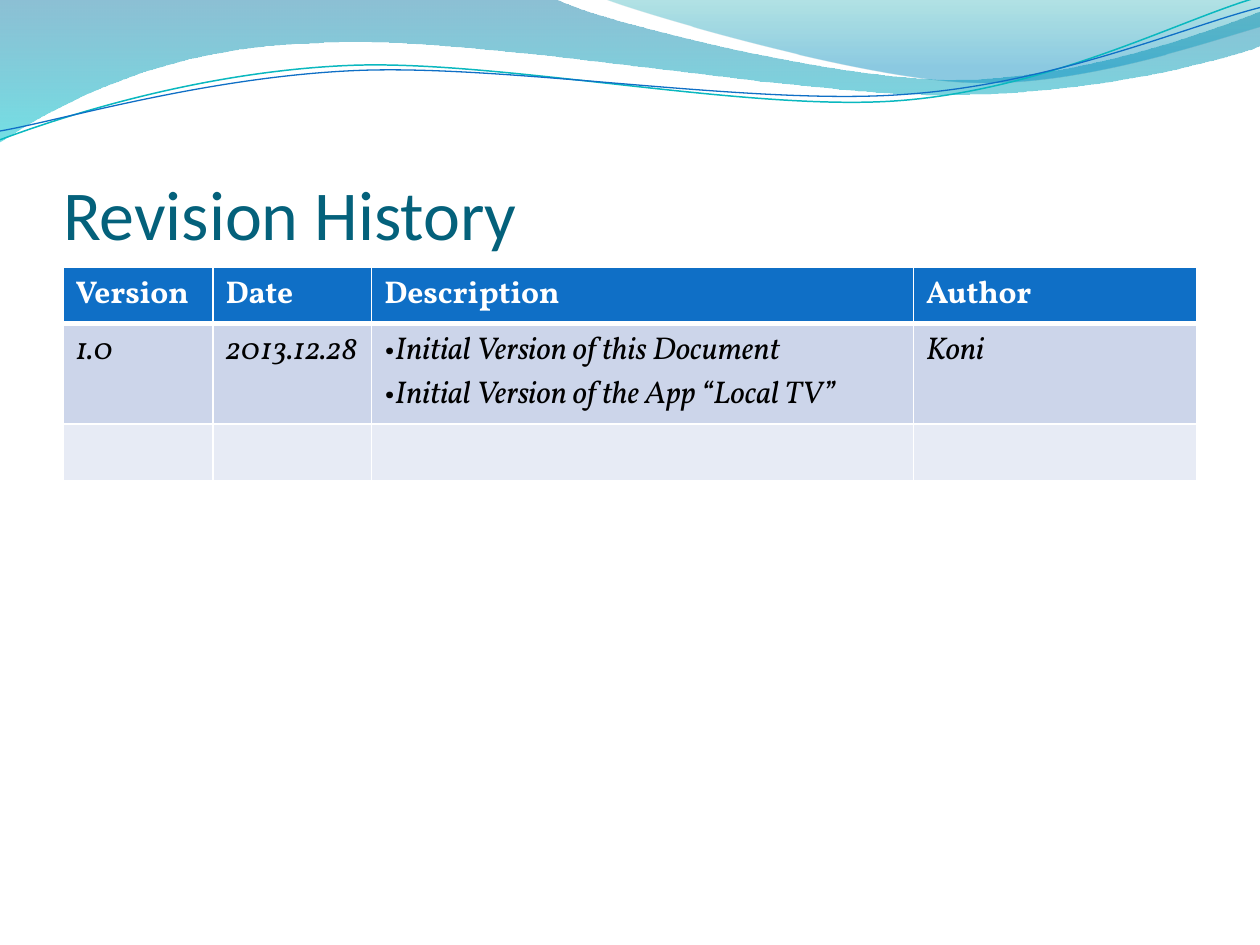
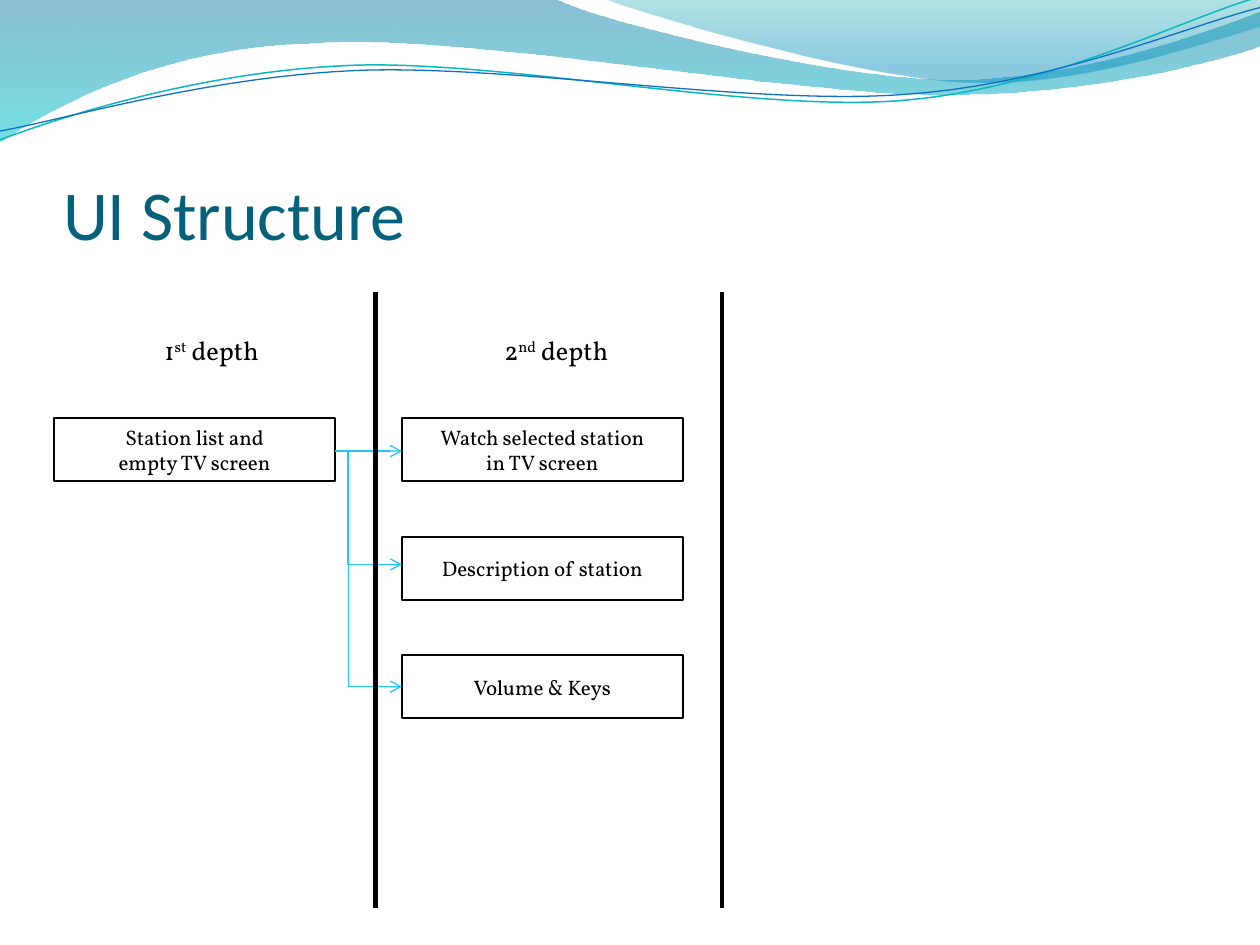
from dataclasses import dataclass

from pptx import Presentation
from pptx.dml.color import RGBColor
from pptx.enum.shapes import MSO_CONNECTOR, MSO_SHAPE
from pptx.enum.text import MSO_ANCHOR, MSO_AUTO_SIZE, PP_ALIGN
from pptx.oxml.ns import qn
from pptx.oxml.xmlchemy import OxmlElement
from pptx.util import Inches, Pt

LEFT, CENTER = PP_ALIGN.LEFT, PP_ALIGN.CENTER
BOTTOM, MIDDLE = MSO_ANCHOR.BOTTOM, MSO_ANCHOR.MIDDLE
STRAIGHT, ELBOW = MSO_CONNECTOR.STRAIGHT, MSO_CONNECTOR.ELBOW
RECTANGLE = MSO_SHAPE.RECTANGLE
NO_AUTOSIZE, FIT_SHAPE = MSO_AUTO_SIZE.NONE, MSO_AUTO_SIZE.SHAPE_TO_FIT_TEXT


@dataclass(frozen=True)
class Theme:
    """Colours, fonts and type sizes shared by the slides."""

    title_font: str = "Calibri"
    body_font: str = "Vollkorn"
    title_size: int = 40
    table_size: int = 18
    label_size: int = 15
    box_size: int = 12
    title: str = "04617B"
    text: str = "000000"
    white: str = "FFFFFF"
    header: str = "0F6FC6"
    bands: tuple = ("CCD5EA", "E7EBF5")
    arrow: str = "20C9F8"
    teal_line: str = "0AB8BF"


THEME = Theme()

WIDE_WAVE = [
    (0, 0), (4.4, -0.01),
    ((4.76, 0.17), (6.64, 0.63), (7.58, 0.63)),
    ((8.53, 0.63), (9.58, 0.26), (10, 0.09)),
    (10.01, 0.36),
    ((9.83, 0.44), (8.7, 0.76), (7.46, 0.75)),
    ((6.22, 0.75), (3.82, 0.28), (2.57, 0.34)),
    ((1.29, 0.36), (0.46, 0.83), (-0.01, 1.13)),
    (0, 0),
]
RIGHT_WAVE = [
    (4.79, -0.01),
    ((5.09, 0.11), (6.82, 0.62), (7.69, 0.65)),
    ((8.56, 0.69), (9.61, 0.32), (10, 0.21)),
    (10, 0), (4.79, -0.01),
]
TEAL_CURVE = [
    (0, 1.11),
    ((0.48, 0.93), (1.58, 0.57), (2.77, 0.52)),
    ((3.95, 0.47), (5.93, 0.89), (7.13, 0.8)),
    ((8.33, 0.71), (9.38, 0.15), (9.98, -0.02)),
]
BLUE_CURVE = [
    (0, 1.04),
    ((0.47, 0.96), (1.64, 0.61), (2.83, 0.56)),
    ((4.03, 0.51), (5.97, 0.84), (7.17, 0.75)),
    ((8.36, 0.67), (9.41, 0.21), (10, 0.06)),
]


def color(value):
    """Return the RGB colour for a hex value."""
    return RGBColor.from_string(value)


def add_child(parent, tag, **attributes):
    """Append an XML element with attributes and return it."""
    child = OxmlElement(tag)
    for name, value in attributes.items():
        child.set(name, str(value))
    parent.append(child)
    return child


def add_text(paragraph, text, size, font=THEME.body_font, fill=THEME.text,
             bold=False, italic=False, align=LEFT, raised=False):
    """Add a formatted run to a paragraph."""
    paragraph.alignment = align
    run = paragraph.add_run()
    run.text = text
    run.font.name = font
    run.font.size = Pt(size)
    run.font.bold = bold
    run.font.italic = italic
    run.font.color.rgb = color(fill)
    if raised:
        run.font._element.set("baseline", "30000")


def add_lines(text_frame, lines, bullet=False, **text_format):
    """Fill a text frame with one paragraph for each line."""
    for index, line in enumerate(lines):
        paragraph = text_frame.add_paragraph() if index else text_frame.paragraphs[0]
        add_text(paragraph, line, **text_format)
        if bullet:
            properties = paragraph._p.get_or_add_pPr()
            add_child(properties, "a:buFont", typeface=THEME.body_font)
            add_child(properties, "a:buChar", char="•")


def add_outline(slide, segments, closed):
    """Build a freeform from straight segments and cubic curves."""
    ends = [segment[-1] if isinstance(segment[0], tuple) else segment for segment in segments]
    ends = [(Inches(x), Inches(y)) for x, y in ends]
    builder = slide.shapes.build_freeform(*ends[0], scale=1.0)
    builder.add_line_segments(ends[1:], close=closed)
    shape = builder.convert_to_shape()
    shape.shadow.inherit = False
    straight_lines = list(shape.element.spPr.iter(qn("a:lnTo")))
    for straight, segment in zip(straight_lines, segments[1:]):
        if isinstance(segment[0], tuple):
            curve = OxmlElement("a:cubicBezTo")
            for x, y in segment:
                add_child(curve, "a:pt", x=Inches(x) - shape.left, y=Inches(y) - shape.top)
            straight.getparent().replace(straight, curve)
    return shape


def add_wave(slide, segments, stops):
    """Add a wave with a translucent vertical gradient."""
    shape = add_outline(slide, segments, closed=True)
    shape.line.fill.background()
    shape.fill.gradient()
    shape.fill.gradient_angle = 270
    for stop, (position, value, _) in zip(shape.fill.gradient_stops, stops):
        stop.position = position
        stop.color.rgb = color(value)
    for element, (_, _, opacity) in zip(shape.element.spPr.iter(qn("a:srgbClr")), stops):
        add_child(element, "a:alpha", val=opacity * 1000)
    return shape


def add_curve(slide, segments, value, width):
    """Add an open curved line."""
    shape = add_outline(slide, segments, closed=False)
    shape.fill.background()
    shape.line.color.rgb = color(value)
    shape.line.width = Pt(width)
    return shape


def add_band(slide):
    """Draw the wave band and place it on the slide's layout."""
    band = [
        add_wave(slide, WIDE_WAVE, [(0, "0074A1", 45), (1, "00C6CF", 55)]),
        add_wave(slide, RIGHT_WAVE, [(0, "00A1A9", 30), (0.8, "008BBF", 45)]),
        add_curve(slide, TEAL_CURVE, THEME.teal_line, 0.85),
        add_curve(slide, BLUE_CURVE, THEME.header, 0.75),
    ]
    for index, shape in enumerate(band):
        shape.element.nvSpPr.cNvPr.set("id", str(100 + index))
        slide.slide_layout.shapes.element.insert(2 + index, shape.element)


def add_titled_slide(presentation, text):
    """Add a title-only slide with the shared title style."""
    slide = presentation.slides.add_slide(presentation.slide_layouts[5])
    title = slide.shapes.title
    title.left, title.top, title.width, title.height = map(Inches, (0.5, 0.77, 9, 1.25))
    frame = title.text_frame
    frame.auto_size = NO_AUTOSIZE
    frame.vertical_anchor = BOTTOM
    frame.margin_left = frame.margin_right = frame.margin_bottom = 0
    add_text(frame.paragraphs[0], text, THEME.title_size, font=THEME.title_font, fill=THEME.title)
    return slide


def style_cell(cell, fill, top, bottom):
    """Set a cell's fill and its white borders."""
    properties = cell._tc.get_or_add_tcPr()
    for side, width in (("L", 1), ("R", 1), ("T", top), ("B", bottom)):
        line = add_child(properties, f"a:ln{side}", w=Pt(width))
        add_child(add_child(line, "a:solidFill"), "a:srgbClr", val=THEME.white)
    cell.fill.solid()
    cell.fill.fore_color.rgb = color(fill)


def size_empty_cell(cell):
    """Give an empty cell the table's font, which sets its row height."""
    paragraph = cell.text_frame.paragraphs[0]
    ending = add_child(paragraph._p, "a:endParaRPr", sz=THEME.table_size * 100)
    add_child(ending, "a:latin", typeface=THEME.body_font)


def add_history_table(slide, rows, widths, row_height):
    """Add the revision table with a header and banded rows."""
    table = slide.shapes.add_table(
        len(rows), len(widths), Inches(0.5), Inches(2.12),
        Inches(sum(widths)), Inches(1.51)).table
    for column, width in zip(table.columns, widths):
        column.width = Inches(width)
    for index, (table_row, row) in enumerate(zip(table.rows, rows)):
        table_row.height = Inches(row_height)
        header = index == 0
        fill = THEME.header if header else THEME.bands[(index - 1) % 2]
        for cell, lines in zip(table_row.cells, row):
            style_cell(cell, fill, top=3 if index == 1 else 1, bottom=3 if header else 1)
            add_lines(cell.text_frame, lines, bullet=len(lines) > 1, size=THEME.table_size,
                      fill=THEME.white if header else THEME.text, bold=header, italic=not header)
            if not lines:
                size_empty_cell(cell)


def add_screen_box(slide, left, top, lines):
    """Add an outlined box that names a screen."""
    box = slide.shapes.add_shape(RECTANGLE, Inches(left), Inches(top), Inches(2.23), Inches(0.5))
    box.shadow.inherit = False
    box.fill.background()
    box.line.color.rgb = color(THEME.text)
    box.line.width = Pt(1.25)
    box.text_frame.vertical_anchor = MIDDLE
    add_lines(box.text_frame, lines, size=THEME.box_size, align=CENTER)


def add_line(slide, start, end, value, width, kind=STRAIGHT, bend=None, arrow=False):
    """Add a connector with an optional bend position and arrowhead."""
    connector = slide.shapes.add_connector(kind, *map(Inches, start + end))
    connector.line.color.rgb = color(value)
    connector.line.width = Pt(width)
    properties = connector.element.spPr
    if arrow:
        add_child(connector.line._get_or_add_ln(), "a:tailEnd", type="arrow")
    if bend is not None:
        guides = properties.find(qn("a:prstGeom")).get_or_add_avLst()
        add_child(guides, "a:gd", name="adj1", fmla=f"val {round(bend * 100000)}")
    add_child(properties, "a:effectLst")


def add_depth_label(slide, left, width, number, suffix):
    """Add a depth heading with a raised ordinal suffix."""
    label = slide.shapes.add_textbox(Inches(left), Inches(2.6), Inches(width), Inches(0.35))
    label.text_frame.word_wrap = False
    label.text_frame.auto_size = FIT_SHAPE
    paragraph = label.text_frame.paragraphs[0]
    for text, raised in ((number, False), (suffix, True), (" depth", False)):
        add_text(paragraph, text, THEME.label_size, align=CENTER, raised=raised)


def add_structure(slide):
    """Draw the screens by depth and the arrows between them."""
    first_left, second_left, first_top, pitch = 0.43, 3.19, 3.32, 0.94
    screens = [
        ["Watch selected station", "in TV screen"],
        ["Description of station"],
        ["Volume & Keys"],
    ]
    add_screen_box(slide, first_left, first_top, ["Station list and", "empty TV screen"])
    for index, lines in enumerate(screens):
        add_screen_box(slide, second_left, first_top + index * pitch, lines)
    box_edge, trunk, arrow_top = 2.66, 2.76, 3.58
    add_line(slide, (box_edge, arrow_top), (second_left, arrow_top), THEME.arrow, 0.75, arrow=True)
    for left, target, bend in ((trunk, 4.48, 0), (box_edge, 5.45, 0.2)):
        add_line(slide, (left, arrow_top), (second_left, target), THEME.arrow, 0.75,
                 kind=ELBOW, bend=bend, arrow=True)
    for divider in (2.98, 5.73):
        add_line(slide, (divider, 2.32), (divider, 7.21), THEME.text, 2.5)
    add_depth_label(slide, 1.2, 0.96, "1", "st")
    add_depth_label(slide, 3.89, 1.05, "2", "nd")


def main():
    """Build and save the presentation."""
    presentation = Presentation()
    presentation.slide_width, presentation.slide_height = Inches(10), Inches(7.5)
    history = add_titled_slide(presentation, "Revision History")
    add_band(history)
    rows = [
        [["Version"], ["Date"], ["Description"], ["Author"]],
        [["1.0"], ["2013.12.28"],
         ["Initial Version of this Document", "Initial Version of the App “Local TV”"], ["Koni"]],
        [[], [], [], []],
    ]
    add_history_table(history, rows, widths=(1.19, 1.26, 4.3, 2.25), row_height=0.41)
    add_structure(add_titled_slide(presentation, "UI Structure"))
    presentation.save("out.pptx")


if __name__ == "__main__":
    main()
